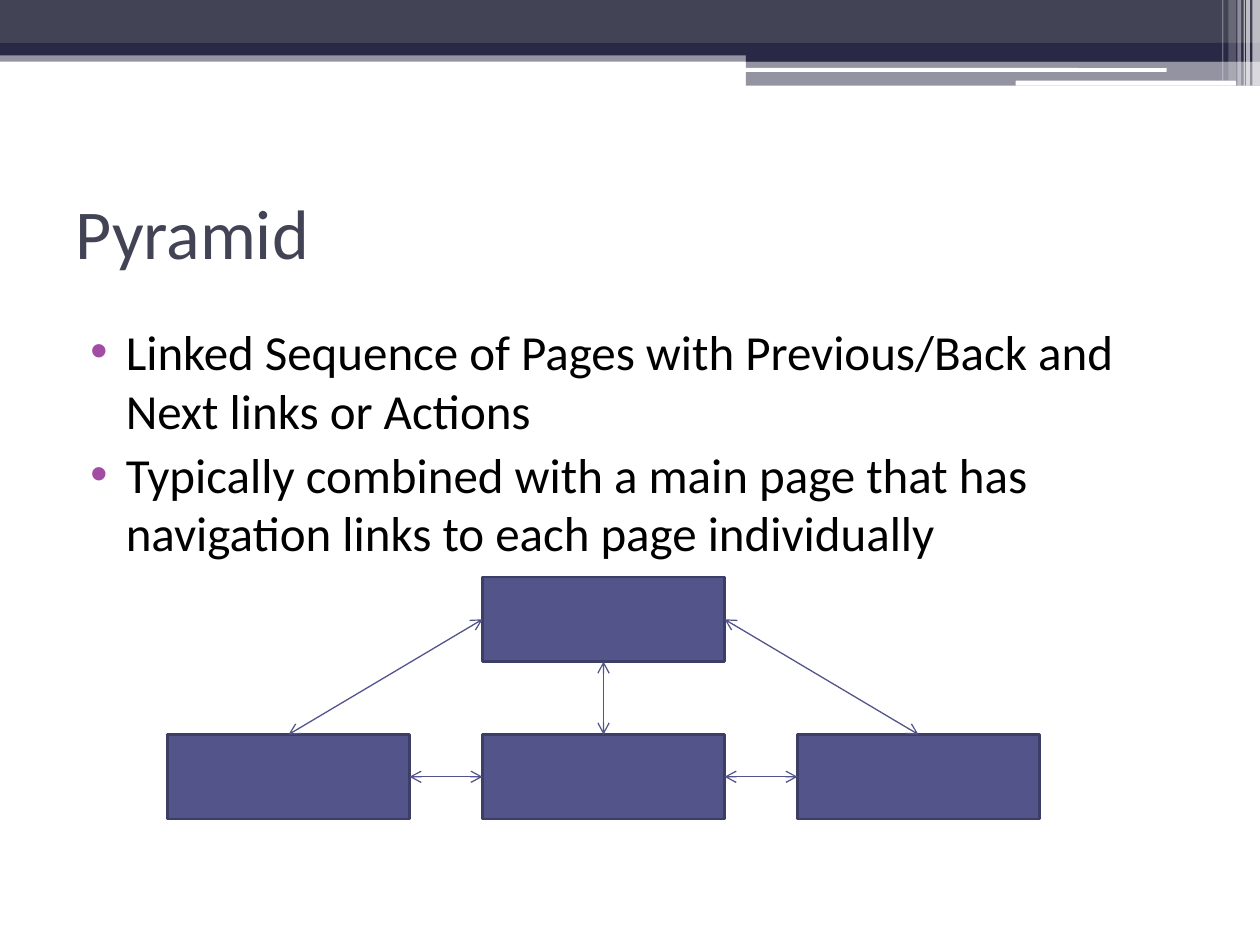
import pptx
import pptx.dml.color
import pptx.enum.shapes
import pptx.enum.text
import pptx.oxml
import pptx.oxml.ns
import pptx.util
from pptx.util import Inches

COLORS = {
    "slate": "424456",
    "navy": "292945",
    "white": "FFFFFF",
    "black": "000000",
    "bullet": "A04DA3",
    "page": "53548A",
    "edge": "3D3E66",
}
FONT = "Calibri"
TOP, LEFT, BOTTOM, RIGHT = range(4)

BANDS = [
    (0, 0.4, 10, 0.09, "navy", 50),
    (0, 0, 10, 0.34, "slate", 100),
    (0, 0.34, 10, 0.1, "navy", 100),
    (5.92, 0.39, 4.08, 0.1, "navy", 100),
    (5.92, 0.48, 4.08, 0.2, "navy", 50),
]
ROUNDED_BARS = [(5.91, 0.54, 3.35, 0.03), (8.06, 0.64, 1.75, 0.04)]
STRIPES = [
    (9.94, 0.06, 0.68, 65),
    (9.89, 0.03, 0.68, 65),
    (9.87, 0.01, 0.68, 60),
    (9.82, 0.03, 0.68, 40),
    (9.75, 0.06, 0.64, 20),
    (9.7, 0.01, 0.64, 30),
]
BULLETS = [
    "Linked Sequence of Pages with Previous/Back and Next links or Actions",
    "Typically combined with a main page that has navigation links to each page individually",
]


def rgb(name):
    return pptx.dml.color.RGBColor.from_string(COLORS[name])


def add_element(parent, tag, **attributes):
    element = pptx.oxml.ns.qn(tag)
    child = parent.makeelement(element, attributes)
    parent.append(child)
    return child


def add_block(page, left, top, width, height, color, opacity=100, edge=None, rounded=False):
    kinds = pptx.enum.shapes.MSO_SHAPE
    kind = kinds.ROUNDED_RECTANGLE if rounded else kinds.RECTANGLE
    block = page.shapes.add_shape(
        kind, Inches(left), Inches(top), Inches(width), Inches(height))
    block.shadow.inherit = False
    block.fill.solid()
    block.fill.fore_color.rgb = rgb(color)
    if opacity < 100:
        fill_color = block.fill._xPr.find(".//" + pptx.oxml.ns.qn("a:srgbClr"))
        add_element(fill_color, "a:alpha", val=str(opacity * 1000))
    if edge:
        block.line.color.rgb = rgb(edge)
        block.line.width = pptx.util.Pt(1.5)
    else:
        block.line.fill.background()
    return block


def add_link(page, start, start_side, end, end_side):
    link = page.shapes.add_connector(
        pptx.enum.shapes.MSO_CONNECTOR.STRAIGHT, 0, 0, 0, 0)
    link.begin_connect(start, start_side)
    link.end_connect(end, end_side)
    link.line.color.rgb = rgb("page")
    link.line.width = pptx.util.Pt(0.75)
    outline = link.line._get_or_add_ln()
    add_element(outline, "a:headEnd", type="arrow")
    add_element(outline, "a:tailEnd", type="arrow")
    add_element(link._element.spPr, "a:effectLst")


def write_text(para, text, size, color):
    span = para.add_run()
    span.text = text
    span.font.name = FONT
    span.font.size = pptx.util.Pt(size)
    span.font.color.rgb = rgb(color)
    para.alignment = pptx.enum.text.PP_ALIGN.LEFT


def add_bullet(para):
    properties = para._p.get_or_add_pPr()
    properties.set("marL", str(Inches(0.4)))
    properties.set("indent", str(Inches(-0.28)))
    bullet_color = add_element(properties, "a:buClr")
    add_element(bullet_color, "a:srgbClr", val=COLORS["bullet"])
    add_element(properties, "a:buFont", typeface="Arial")
    add_element(properties, "a:buChar", char="•")


def add_header(page):
    for left, top, width, height, color, opacity in BANDS:
        add_block(page, left, top, width, height, color, opacity)
    for left, top, width, height in ROUNDED_BARS:
        add_block(page, left, top, width, height, "white", rounded=True)
    for left, width, height, opacity in STRIPES:
        add_block(page, left, 0, width, height, "white", opacity)


def set_title(page, text):
    title = page.shapes.title
    title.left, title.top = Inches(0.5), Inches(1.25)
    title.width, title.height = Inches(9), Inches(1.17)
    title.text_frame.vertical_anchor = pptx.enum.text.MSO_ANCHOR.MIDDLE
    write_text(title.text_frame.paragraphs[0], text, size=40, color="slate")


def add_body(page, lines):
    box = page.shapes.add_textbox(Inches(0.5), Inches(2.5), Inches(9), Inches(4.69))
    frame = box.text_frame
    frame.word_wrap = True
    for index, line in enumerate(lines):
        para = frame.add_paragraph() if index else frame.paragraphs[0]
        add_bullet(para)
        if index:
            para.space_before = pptx.util.Pt(3)
        write_text(para, line, size=28, color="black")


def add_pyramid(page):
    def add_page_box(column, top):
        return add_block(page, 1.33 + 2.5 * column, top, 1.92, 0.67, "page", edge="edge")

    main_page = add_page_box(1, 4.58)
    first, second, third = [add_page_box(column, 5.83) for column in range(3)]
    add_link(page, main_page, BOTTOM, second, TOP)
    add_link(page, main_page, RIGHT, third, TOP)
    add_link(page, first, TOP, main_page, LEFT)
    add_link(page, first, RIGHT, second, LEFT)
    add_link(page, second, RIGHT, third, LEFT)


def main():
    deck = pptx.Presentation()
    deck.slide_width, deck.slide_height = Inches(10), Inches(7.5)
    page = deck.slides.add_slide(deck.slide_layouts[5])
    add_header(page)
    set_title(page, "Pyramid")
    add_body(page, BULLETS)
    add_pyramid(page)
    deck.save("out.pptx")


if __name__ == "__main__":
    main()
